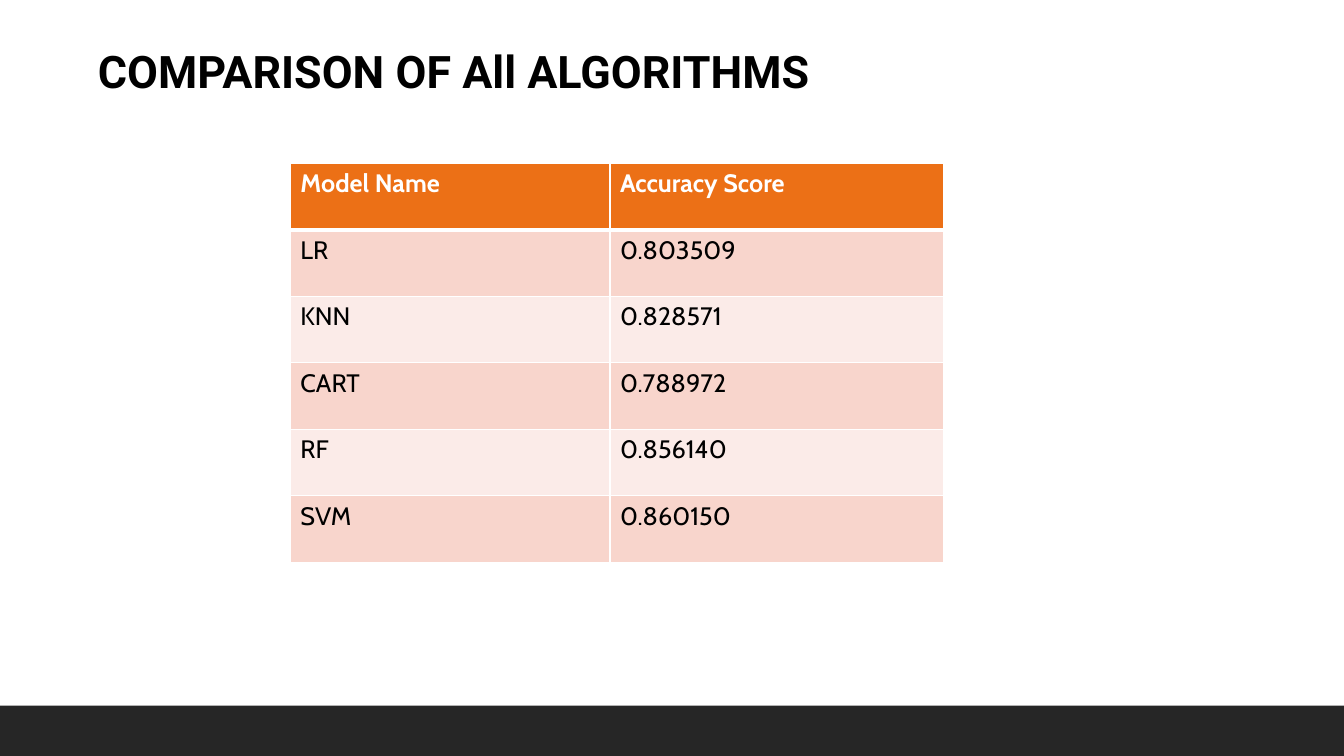
from lxml.etree import SubElement
from pptx import Presentation
from pptx.dml.color import RGBColor
from pptx.enum.shapes import MSO_SHAPE
from pptx.enum.text import MSO_ANCHOR, PP_ALIGN
from pptx.oxml.ns import qn
from pptx.util import Inches, Pt

WHITE = RGBColor(0xFF, 0xFF, 0xFF)
BLACK = RGBColor(0, 0, 0)
CHARCOAL = RGBColor(0x26, 0x26, 0x26)
ORANGE = RGBColor(0xEC, 0x70, 0x16)
ROSE = RGBColor(0xF8, 0xD5, 0xCC)
PALE_ROSE = RGBColor(0xFB, 0xEB, 0xE8)

SCORES = [
    ("Model Name", "Accuracy Score"),
    ("LR", "0.803509"),
    ("KNN", "0.828571"),
    ("CART", "0.788972"),
    ("RF", "0.856140"),
    ("SVM", "0.860150"),
]


def write_text(frame, text, font="Cabin", size=18, color=BLACK, bold=False):
    """Write one left-aligned paragraph in the given format."""
    frame.word_wrap = True
    paragraph = frame.paragraphs[0]
    paragraph.alignment = PP_ALIGN.LEFT
    run = paragraph.add_run()
    run.text = text
    run.font.name = font
    run.font.size = Pt(size)
    run.font.color.rgb = color
    run.font.bold = bold


def set_borders(cell, bottom_width):
    """Draw white borders around a cell, with its own bottom width."""
    properties = cell._tc.get_or_add_tcPr()
    for side, width in (("L", 1), ("R", 1), ("T", 1), ("B", bottom_width)):
        line = SubElement(properties, qn(f"a:ln{side}"), w=str(Pt(width)))
        fill = SubElement(line, qn("a:solidFill"))
        SubElement(fill, qn("a:srgbClr"), val=str(WHITE))


class SlideBuilder:
    """Hold the slide and its style, and add each kind of element."""

    def __init__(self, presentation):
        """Add a title-only slide with a white background."""
        self.slide = presentation.slides.add_slide(presentation.slide_layouts[5])
        self.slide.background.fill.solid()
        self.slide.background.fill.fore_color.rgb = WHITE

    def bar(self, left, top, width, height, color):
        """Add a plain filled rectangle."""
        shape = self.slide.shapes.add_shape(
            MSO_SHAPE.RECTANGLE, Inches(left), Inches(top), Inches(width), Inches(height)
        )
        shape.shadow.inherit = False
        shape.fill.solid()
        shape.fill.fore_color.rgb = color
        shape.line.fill.background()

    def title(self, text, left, top, width, height):
        """Place and format the title placeholder."""
        shape = self.slide.shapes.title
        shape.left, shape.top = Inches(left), Inches(top)
        shape.width, shape.height = Inches(width), Inches(height)
        shape.text_frame.vertical_anchor = MSO_ANCHOR.MIDDLE
        write_text(shape.text_frame, text, font="Roboto", size=32, bold=True)

    def table(self, rows, left, top, column_widths, row_height):
        """Add a table with a header row and banded body rows."""
        table = self.slide.shapes.add_table(
            len(rows), len(column_widths), Inches(left), Inches(top),
            Inches(sum(column_widths)), Inches(row_height * len(rows)),
        ).table
        for column, width in zip(table.columns, column_widths):
            column.width = Inches(width)
        for row_index, values in enumerate(rows):
            header = row_index == 0
            band = ROSE if row_index % 2 else PALE_ROSE
            for cell, value in zip(table.rows[row_index].cells, values):
                set_borders(cell, bottom_width=3 if header else 1)
                cell.fill.solid()
                cell.fill.fore_color.rgb = ORANGE if header else band
                write_text(cell.text_frame, value, color=WHITE if header else BLACK, bold=header)


def main():
    """Build and save the algorithm comparison slide."""
    presentation = Presentation()
    presentation.slide_width = Inches(13.33)
    presentation.slide_height = Inches(7.5)
    builder = SlideBuilder(presentation)
    builder.bar(0, 7, 13.33, 0.5, CHARCOAL)
    builder.title("COMPARISON OF All ALGORITHMS", 0.87, 0.38, 11.57, 0.64)
    builder.table(SCORES, 2.88, 1.62, (3.17, 3.31), 0.66)
    presentation.save("out.pptx")


if __name__ == "__main__":
    main()
